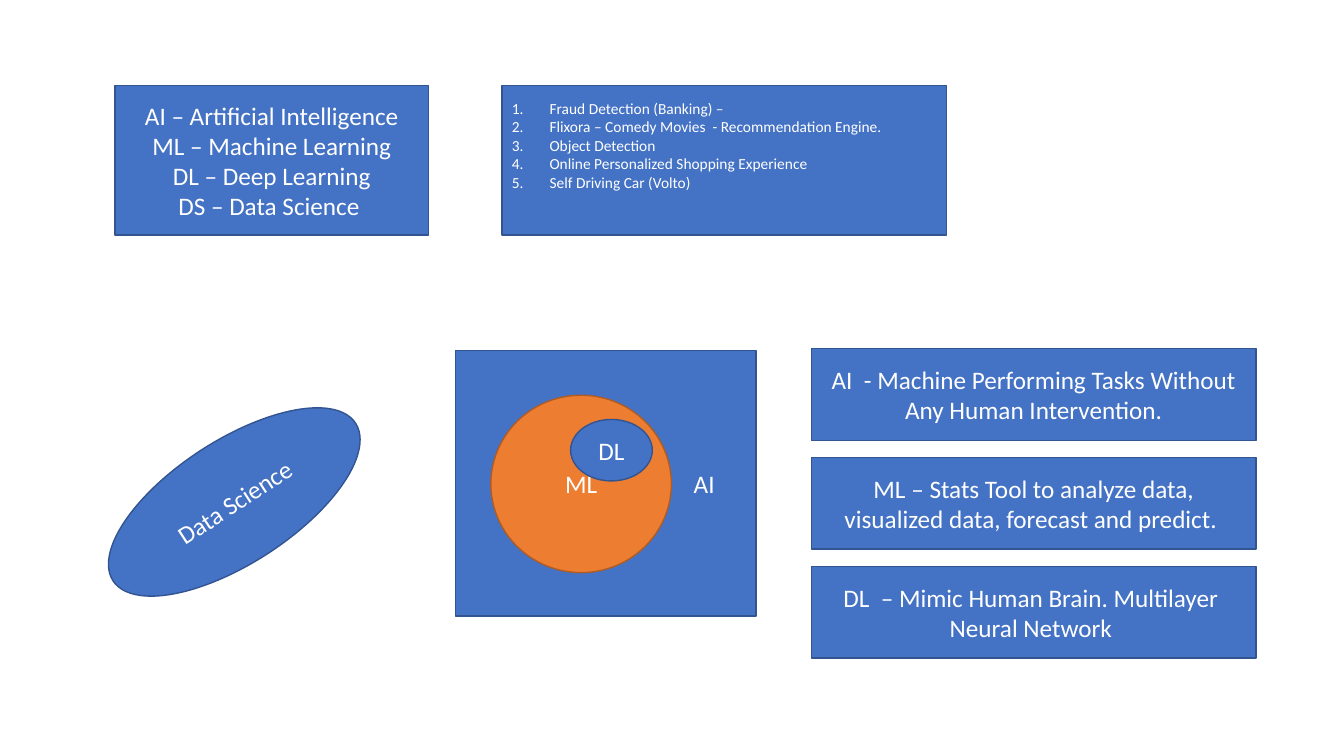
from lxml.etree import SubElement
from pptx import Presentation
from pptx.dml.color import RGBColor
from pptx.enum.shapes import MSO_SHAPE as Preset
from pptx.enum.text import MSO_ANCHOR as Anchor, PP_ALIGN as Align
from pptx.oxml.ns import qn
from pptx.util import Cm, Pt

COLORS = {
    "blue": "4472C4", "blue_edge": "325491",
    "orange": "ED7D31", "orange_edge": "AF5C24",
    "text": "FFFFFF",
}
ROW_TOP, ROW_HEIGHT = 2.16, 3.76
WIDE = 11.2
DEFINITION_TOP, DEFINITION_STEP = 8.79, 2.74

presentation = Presentation()
presentation.slide_width, presentation.slide_height = Cm(33.87), Cm(19.05)
slide = presentation.slides.add_slide(presentation.slide_layouts[6])


def add_block(preset, box, lines, color="blue", size=18, align=Align.CENTER, **frame_format):
    """Add a filled shape at box (left, top, width, height in cm) with its lines of text."""
    shape = slide.shapes.add_shape(preset, *[Cm(length) for length in box])
    shape.shadow.inherit = False
    shape.fill.solid()
    shape.fill.fore_color.rgb = RGBColor.from_string(COLORS[color])
    shape.line.color.rgb = RGBColor.from_string(COLORS[color + "_edge"])
    shape.line.width = Pt(1)
    frame = shape.text_frame
    frame.text = "\n".join(lines)
    settings = {"word_wrap": True, "vertical_anchor": Anchor.MIDDLE, **frame_format}
    for name, value in settings.items():
        setattr(frame, name, value)
    for paragraph in frame.paragraphs:
        paragraph.alignment = align
        for name, value in {"name": "Calibri", "size": Pt(size)}.items():
            setattr(paragraph.runs[0].font, name, value)
        paragraph.runs[0].font.color.rgb = RGBColor.from_string(COLORS["text"])
    return shape


def number_paragraphs(shape, indent):
    """Number the paragraphs of a shape 1., 2., ... with a hanging indent."""
    for paragraph in shape.text_frame.paragraphs:
        properties = paragraph._p.get_or_add_pPr()
        properties.set("marL", str(indent))
        properties.set("indent", str(-indent))
        SubElement(properties, qn("a:buFont"), typeface="+mj-lt")
        SubElement(properties, qn("a:buAutoNum"), type="arabicPeriod")


# Abbreviations and use cases
add_block(Preset.RECTANGLE, (2.9, ROW_TOP, 7.9, ROW_HEIGHT), [
    "AI – Artificial Intelligence",
    "ML – Machine Learning",
    "DL – Deep Learning",
    "DS – Data Science ",
])
use_cases = add_block(Preset.RECTANGLE, (12.65, ROW_TOP, WIDE, ROW_HEIGHT), [
    "Fraud Detection (Banking) – ",
    "Flixora – Comedy Movies  - Recommendation Engine.",
    "Object Detection",
    "Online Personalized Shopping Experience",
    "Self Driving Car (Volto)",
], size=11, align=Align.LEFT, margin_bottom=Cm(0.89))
number_paragraphs(use_cases, Cm(0.95))

# Nested fields: AI contains ML, ML contains DL
add_block(Preset.RECTANGLE, (11.48, 8.84, 7.57, 6.68), ["AI"],
          align=Align.RIGHT, margin_right=Cm(1.04))
add_block(Preset.OVAL, (12.37, 9.96, 4.55, 4.47), ["ML"], color="orange")
add_block(Preset.OVAL, (14.38, 10.57, 2.06, 1.55), ["DL"])

# Definitions
definitions = [
    "AI  - Machine Performing Tasks Without Any Human Intervention.",
    "ML – Stats Tool to analyze data, visualized data, forecast and predict. ",
    "DL  – Mimic Human Brain. Multilayer  Neural Network ",
]
for row, definition in enumerate(definitions):
    top = DEFINITION_TOP + row * DEFINITION_STEP
    add_block(Preset.RECTANGLE, (20.45, top, WIDE, 2.31), [definition])

data_science = add_block(Preset.OVAL, (2.26, 11.1, 7.29, 3.1), ["Data Science"])
data_science.rotation = 327

presentation.save("out.pptx")
